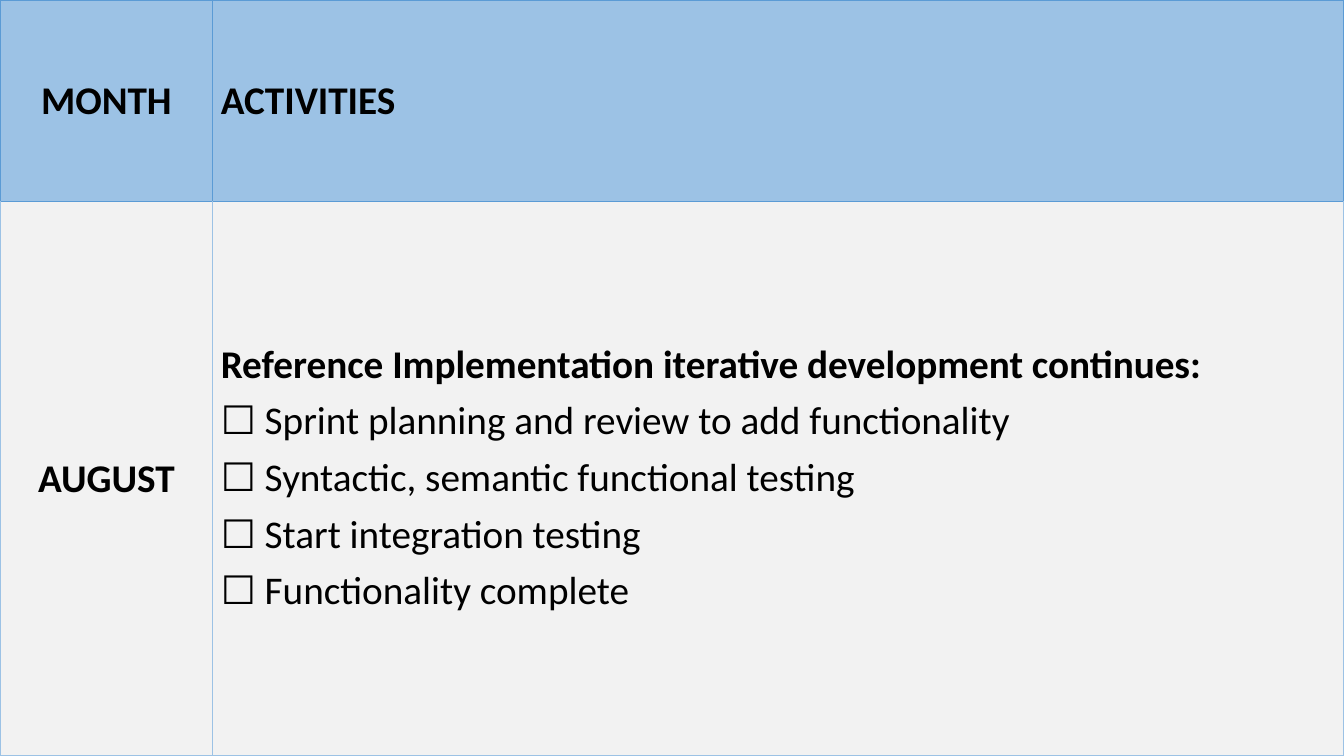
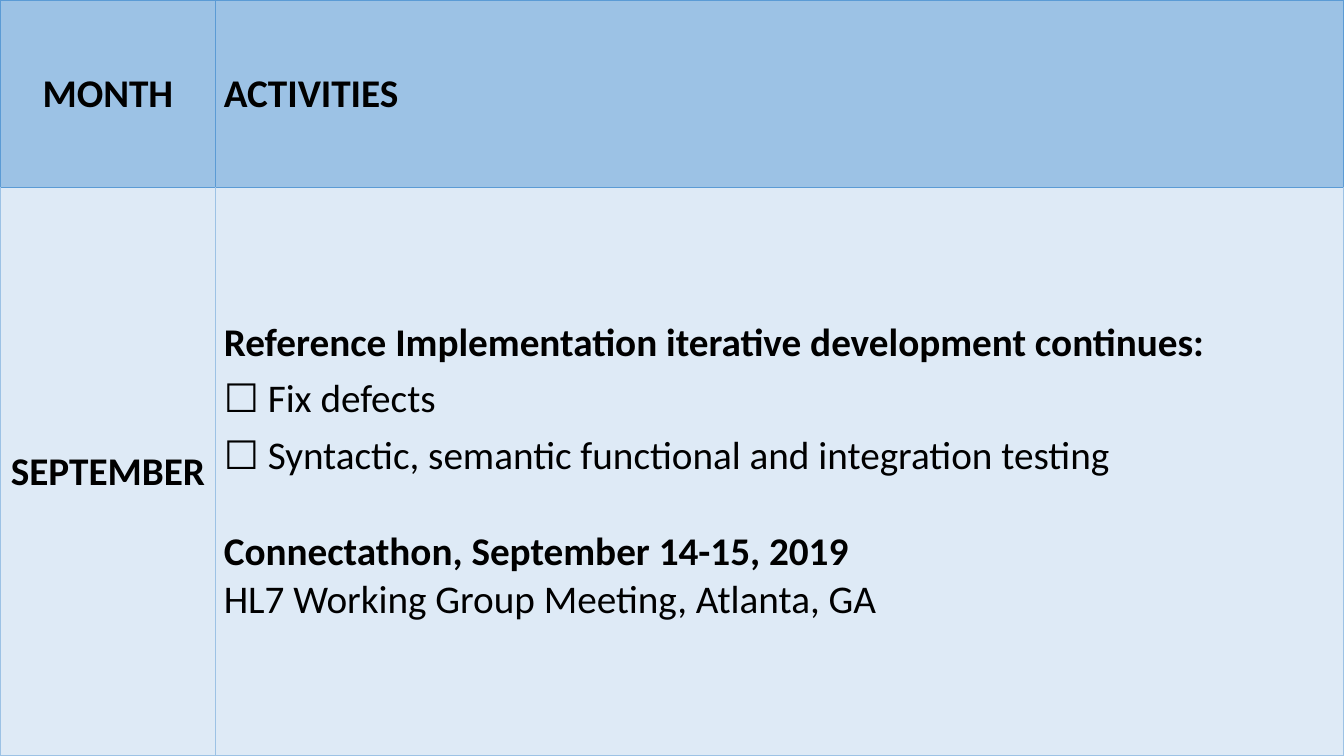
from lxml import etree
from pptx import Presentation
from pptx.dml.color import RGBColor
from pptx.enum.text import MSO_ANCHOR, PP_ALIGN
from pptx.oxml.ns import qn
from pptx.util import Inches, Pt

BLACK = RGBColor(0x00, 0x00, 0x00)
HEADER = RGBColor(0x9C, 0xC2, 0xE5)
HEADER_LINE = RGBColor(0x5B, 0x9B, 0xD5)
GRAY = RGBColor(0xF2, 0xF2, 0xF2)
PALE_BLUE = RGBColor(0xDE, 0xEA, 0xF6)
FONT = "Calibri"
BOX_FONT = "Noto Sans CJK JP"
WIDTH, HEIGHT = 13.33, 7.5

HEADING, TASK, EVENT, PLACE = "heading", "task", "event", "place"
CONTINUES = (HEADING, "Reference Implementation iterative development continues:")
MONTHS = [
    ("AUGUST", GRAY, 2.11, 2.0, [
        CONTINUES,
        (TASK, "Sprint planning and review to add functionality"),
        (TASK, "Syntactic, semantic functional testing"),
        (TASK, "Start integration testing"),
        (TASK, "Functionality complete"),
    ]),
    ("SEPTEMBER", PALE_BLUE, 2.14, 1.86, [
        CONTINUES,
        (TASK, "Fix defects"),
        (TASK, "Syntactic, semantic functional and integration testing"),
        (EVENT, "Connectathon, September 14-15, 2019"),
        (PLACE, "HL7 Working Group Meeting, Atlanta, GA"),
    ]),
]


def add_run(p, words, bold, font=FONT):
    r = p.add_run()
    r.text = words
    r.font.name = font
    r.font.size = Pt(28)
    r.font.bold = bold
    r.font.color.rgb = BLACK
    etree.SubElement(r.font._element, qn("a:ea"), typeface=font)


def style_cell(cell, fill, margin, side_color):
    cell.vertical_anchor = MSO_ANCHOR.MIDDLE
    cell.margin_left = cell.margin_right = Inches(0.08)
    cell.margin_top = cell.margin_bottom = Inches(margin)
    cell.fill.solid()
    cell.fill.fore_color.rgb = fill
    tc_pr = cell._tc.get_or_add_tcPr()
    for i, side in enumerate("LRTB"):
        color = HEADER_LINE if side == "T" else side_color
        ln = etree.Element(qn("a:ln" + side), w=str(Pt(1)))
        solid = etree.SubElement(ln, qn("a:solidFill"))
        etree.SubElement(solid, qn("a:srgbClr"), val=str(color))
        tc_pr.insert(i, ln)


prs = Presentation()
prs.slide_width, prs.slide_height = Inches(WIDTH), Inches(HEIGHT)

for month, fill, month_width, header_height, activities in MONTHS:
    s = prs.slides.add_slide(prs.slide_layouts[6])
    table = s.shapes.add_table(2, 2, 0, 0, Inches(WIDTH), Inches(HEIGHT)).table
    table.horz_banding = False
    table.columns[0].width = Inches(month_width)
    table.columns[1].width = Inches(WIDTH - month_width)
    table.rows[0].height = Inches(header_height)
    table.rows[1].height = Inches(HEIGHT - header_height)

    for col in range(2):
        style_cell(table.cell(0, col), HEADER, 0.1, HEADER_LINE)
        style_cell(table.cell(1, col), fill, 0.05, HEADER)

    for row, label in enumerate(("MONTH", month)):
        p = table.cell(row, 0).text_frame.paragraphs[0]
        p.alignment = PP_ALIGN.CENTER
        add_run(p, label, True)
    add_run(table.cell(0, 1).text_frame.paragraphs[0], "ACTIVITIES", True)

    tf = table.cell(1, 1).text_frame
    for i, (kind, words) in enumerate(activities):
        p = tf.add_paragraph() if i else tf.paragraphs[0]
        if kind == EVENT:
            p.space_before = Pt(34)
        if kind == TASK:
            add_run(p, "\u2610", False, BOX_FONT)
            words = " " + words
        add_run(p, words, kind in (HEADING, EVENT))

prs.save("out.pptx")
